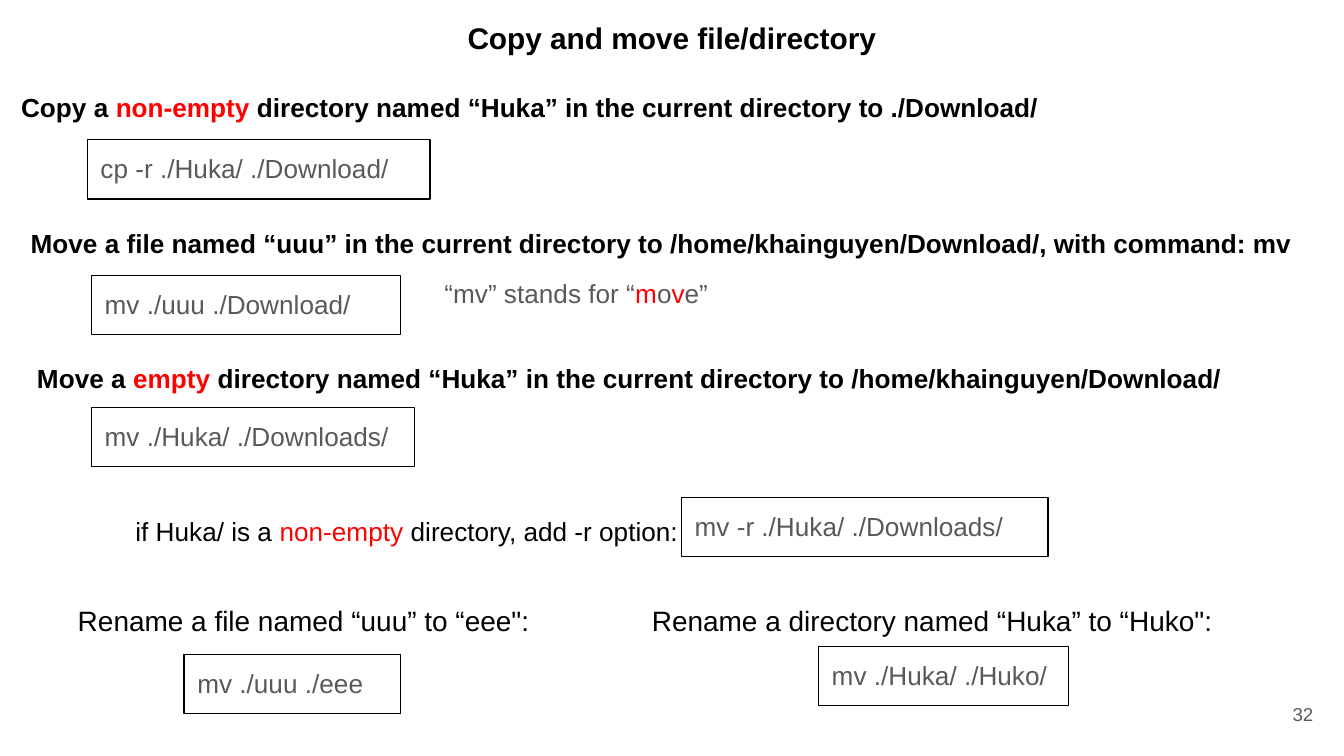
from collections import namedtuple
from dataclasses import dataclass

from pptx import Presentation
from pptx.dml.color import RGBColor
from pptx.enum.shapes import MSO_SHAPE
from pptx.enum.text import MSO_ANCHOR, MSO_AUTO_SIZE, PP_ALIGN
from pptx.util import Cm, Pt

RECT = MSO_SHAPE.RECTANGLE
TOP, MIDDLE = MSO_ANCHOR.TOP, MSO_ANCHOR.MIDDLE
LEFT, CENTER, RIGHT = PP_ALIGN.LEFT, PP_ALIGN.CENTER, PP_ALIGN.RIGHT
NO_FIT = MSO_AUTO_SIZE.NONE

Box = namedtuple("Box", "left top width height")


@dataclass(frozen=True)
class Theme:
    font: str = "Arial"
    ink: RGBColor = RGBColor(0, 0, 0)
    gray: RGBColor = RGBColor(0x59, 0x59, 0x59)
    red: RGBColor = RGBColor(0xFF, 0, 0)
    title: int = 16
    label: int = 15
    body: int = 14
    small: int = 10
    line: float = 0.75
    inset: float = 0.25
    row: float = 1.12


THEME = Theme()


def place(shape, box):
    shape.left, shape.top, shape.width, shape.height = map(Cm, box)


def write(shape, text, size, color, bold=False, align=LEFT, anchor=TOP):
    frame = shape.text_frame
    frame.word_wrap = True
    frame.auto_size = NO_FIT
    frame.vertical_anchor = anchor
    frame.margin_left = frame.margin_right = Cm(THEME.inset)
    frame.margin_top = frame.margin_bottom = Cm(THEME.inset)
    para = frame.paragraphs[0]
    para.alignment = align
    for i, part in enumerate(text.split("*")):
        run = para.add_run()
        run.text = part
        font = run.font
        font.name, font.size, font.bold = THEME.font, Pt(size), bold
        font.color.rgb = THEME.red if i % 2 else color


def add_title(slide, box, text):
    title = slide.shapes.title
    place(title, box)
    write(title, text, THEME.title, THEME.ink, bold=True, align=CENTER)


def add_text(slide, box, text, size, color, **style):
    shape = slide.shapes.add_textbox(*map(Cm, box))
    write(shape, text, size, color, **style)


def add_code(slide, box, text):
    shape = slide.shapes.add_shape(RECT, *map(Cm, box))
    shape.shadow.inherit = False
    shape.fill.background()
    shape.line.color.rgb = THEME.ink
    shape.line.width = Pt(THEME.line)
    write(shape, text, THEME.body, THEME.gray)


def add_task(slide, box, head, code, shift, width, size=THEME.body, bold=False):
    add_text(slide, box, head, size, THEME.ink, bold=bold)
    right, down = shift
    spot = Box(box.left + right, box.top + down, width, THEME.row)
    add_code(slide, spot, code)


def add_note(slide, box, text):
    add_text(slide, box, text, THEME.body, THEME.gray)


def add_number(slide, box, text):
    add_text(slide, box, text, THEME.small, THEME.gray, align=RIGHT, anchor=MIDDLE)


def main():
    deck = Presentation()
    deck.slide_width, deck.slide_height = Cm(25.4), Cm(14.29)
    slide = deck.slides.add_slide(deck.slide_layouts[5])
    row = THEME.row

    add_title(slide, Box(7.04, 0.13, 11.32, 1.19), "Copy and move file/directory")
    add_task(slide, Box(0.15, 1.47, 24.49, row),
             "Copy a *non-empty* directory named “Huka” in the current directory to ./Download/",
             "cp -r ./Huka/ ./Download/", (1.5, 1.17), 6.48, bold=True)
    add_task(slide, Box(0.33, 4.04, 24.49, row),
             "Move a file named “uuu” in the current directory to "
             "/home/khainguyen/Download/, with command: mv",
             "mv ./uuu ./Download/", (1.4, 1.17), 5.84, bold=True)
    add_note(slide, Box(8.15, 5, 6.71, row), "“mv” stands for “*m*o*v*e”")
    add_task(slide, Box(0.45, 6.6, 22.96, row),
             "Move a *empty* directory named “Huka” in the current directory to "
             "/home/khainguyen/Download/",
             "mv ./Huka/ ./Downloads/", (1.28, 1.1), 6.1, bold=True)
    add_task(slide, Box(2.31, 9.5, 11.1, row),
             "if Huka/ is a *non-empty* directory, add -r option:",
             "mv -r ./Huka/ ./Downloads/", (10.57, -0.1), 6.93)
    add_task(slide, Box(1.22, 11.15, 9.83, row),
             "Rename a file named “uuu” to “eee\":",
             "mv ./uuu ./eee", (2.26, 1.22), 4.09, size=THEME.label)
    add_task(slide, Box(12.07, 11.15, 12.34, row),
             "Rename a directory named “Huka” to “Huko\":",
             "mv ./Huka/ ./Huko/", (3.4, 1.07), 4.72, size=THEME.label)
    add_number(slide, Box(23.55, 12.95, 1.52, 1.09), "32")
    deck.save("out.pptx")


if __name__ == "__main__":
    main()
